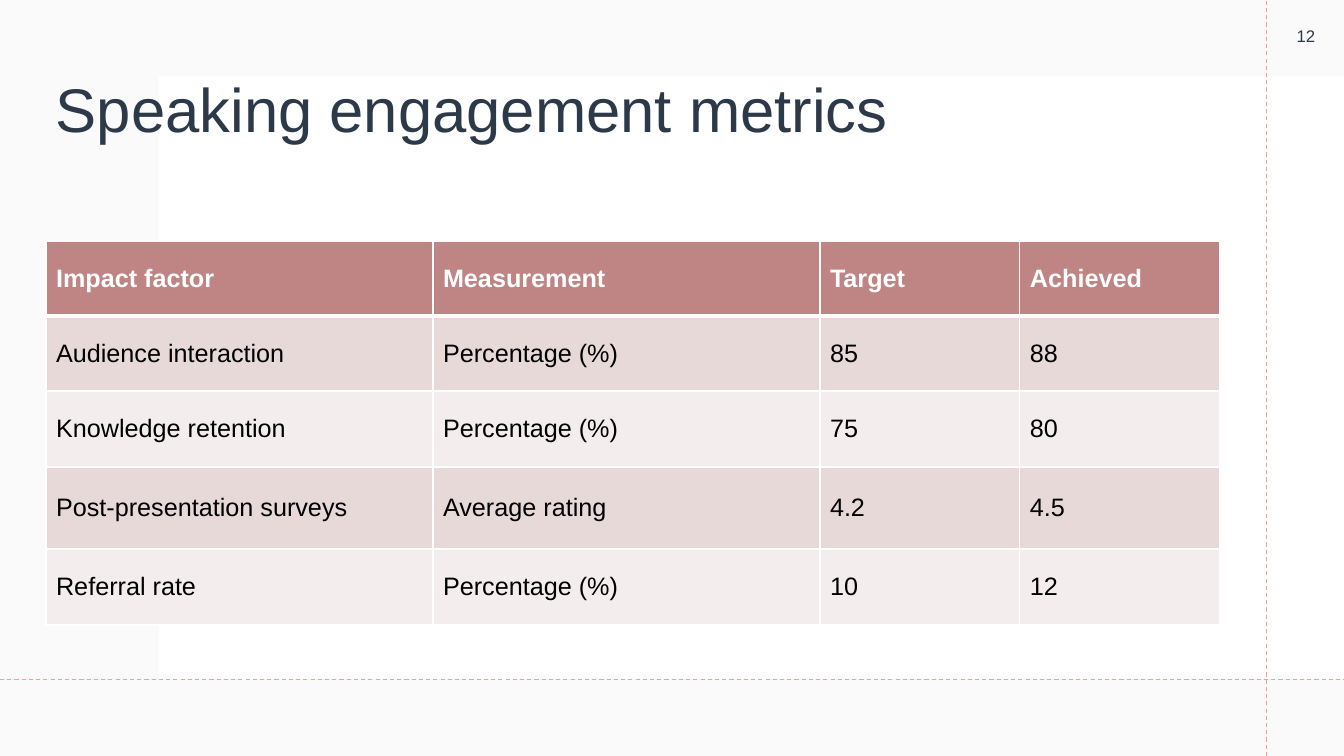
from lxml import etree
from pptx import Presentation
from pptx import util as u
from pptx.dml.color import RGBColor
from pptx.enum import dml, shapes, text
from pptx.oxml import ns

PX = 914400 / 100.8
WHITE = RGBColor(0xFF, 0xFF, 0xFF)
BLACK = RGBColor(0, 0, 0)
PALE = RGBColor(0xF4, 0xF4, 0xF4)
CORAL = RGBColor(0xF4, 0x9D, 0x90)
NAVY = RGBColor(0x2C, 0x39, 0x48)
ROSE = RGBColor(0xBF, 0x84, 0x84)
BLUSH = RGBColor(0xE8, 0xD9, 0xD9)
MIST = RGBColor(0xF4, 0xED, 0xED)

ROWS = [
    ("Impact factor", "Measurement", "Target", "Achieved"),
    ("Audience interaction", "Percentage (%)", "85", "88"),
    ("Knowledge retention", "Percentage (%)", "75", "80"),
    ("Post-presentation surveys", "Average rating", "4.2", "4.5"),
    ("Referral rate", "Percentage (%)", "10", "12"),
]
WIDTHS = (387, 387, 200, 200)
HEIGHTS = (75, 75, 76, 82, 76)


def px(*vals):
    return [u.Emu(round(v * PX)) for v in vals]


def style(para, size, color, bold=False):
    for run in para.runs:
        font = run.font
        font.name = "Arial"
        font.size = u.Pt(size)
        font.bold = bold
        font.color.rgb = color


def add_panel(slide, box, color, alpha=100):
    panel = slide.shapes.add_shape(shapes.MSO_SHAPE.RECTANGLE, *px(*box))
    panel.shadow.inherit = False
    panel.line.fill.background()
    panel.fill.solid()
    panel.fill.fore_color.rgb = color
    if alpha < 100:
        tint = panel.element.spPr.find(ns.qn("a:solidFill"))[0]
        etree.SubElement(tint, ns.qn("a:alpha"), val=str(alpha * 1000))


def add_rule(slide, ends):
    rule = slide.shapes.add_connector(shapes.MSO_CONNECTOR.STRAIGHT, *px(*ends))
    rule.line.color.rgb = CORAL
    rule.line.width = u.Pt(0.75)
    rule.line.dash_style = dml.MSO_LINE.DASH
    etree.SubElement(rule.element.spPr, ns.qn("a:effectLst"))


def add_frame(slide, box):
    left, top, width, height = box
    right, base = left + width, top + height
    add_panel(slide, box, PALE, 45)
    add_panel(slide, (left + 159, top + 76, width - 159, height - 152), WHITE)
    add_rule(slide, (right - 77, base, right - 77, top))
    add_rule(slide, (left, base - 76, right, base - 76))


def add_label(slide, box, words, size, align, space=1.0):
    label = slide.shapes.add_textbox(*px(*box))
    frame = label.text_frame
    frame.word_wrap = True
    frame.vertical_anchor = text.MSO_ANCHOR.MIDDLE
    frame.text = words
    para = frame.paragraphs[0]
    para.alignment = align
    para.line_spacing = space
    style(para, size, NAVY)


def add_edges(cell, widths):
    props = cell._tc.get_or_add_tcPr()
    for spot, (side, width) in enumerate(zip("LRTB", widths)):
        edge = etree.Element(ns.qn("a:ln" + side), w=str(u.Pt(width)))
        fill = etree.SubElement(edge, ns.qn("a:solidFill"))
        etree.SubElement(fill, ns.qn("a:srgbClr"), val=str(WHITE))
        props.insert(spot, edge)


def add_metrics(slide, left, top):
    box = px(left, top, sum(WIDTHS), sum(HEIGHTS))
    table = slide.shapes.add_table(len(ROWS), len(WIDTHS), *box).table
    for col, width in zip(table.columns, px(*WIDTHS)):
        col.width = width
    for row, height in zip(table.rows, px(*HEIGHTS)):
        row.height = height
    for r, row in enumerate(ROWS):
        head = r == 0
        shade = ROSE if head else (MIST, BLUSH)[r % 2]
        for c, words in enumerate(row):
            cell = table.cell(r, c)
            cell.text = words
            cell.vertical_anchor = text.MSO_ANCHOR.MIDDLE
            cell.fill.solid()
            cell.fill.fore_color.rgb = shade
            style(cell.text_frame.paragraphs[0], 18, WHITE if head else BLACK, head)
            add_edges(cell, (1, 1, 3 if r == 1 else 1, 3 if head else 1))


def main():
    deck = Presentation()
    deck.slide_width, deck.slide_height = px(1344, 756)
    slide = deck.slides.add_slide(deck.slide_layouts[6])
    add_frame(slide, (0, 0, 1344, 756))
    add_label(slide, (46, 40, 1175, 146), "Speaking engagement metrics", 44,
              text.PP_ALIGN.LEFT, 0.9)
    add_label(slide, (1268, -2, 76, 76), "12", 12, text.PP_ALIGN.CENTER)
    add_metrics(slide, 46, 241)
    deck.save("out.pptx")


if __name__ == "__main__":
    main()
